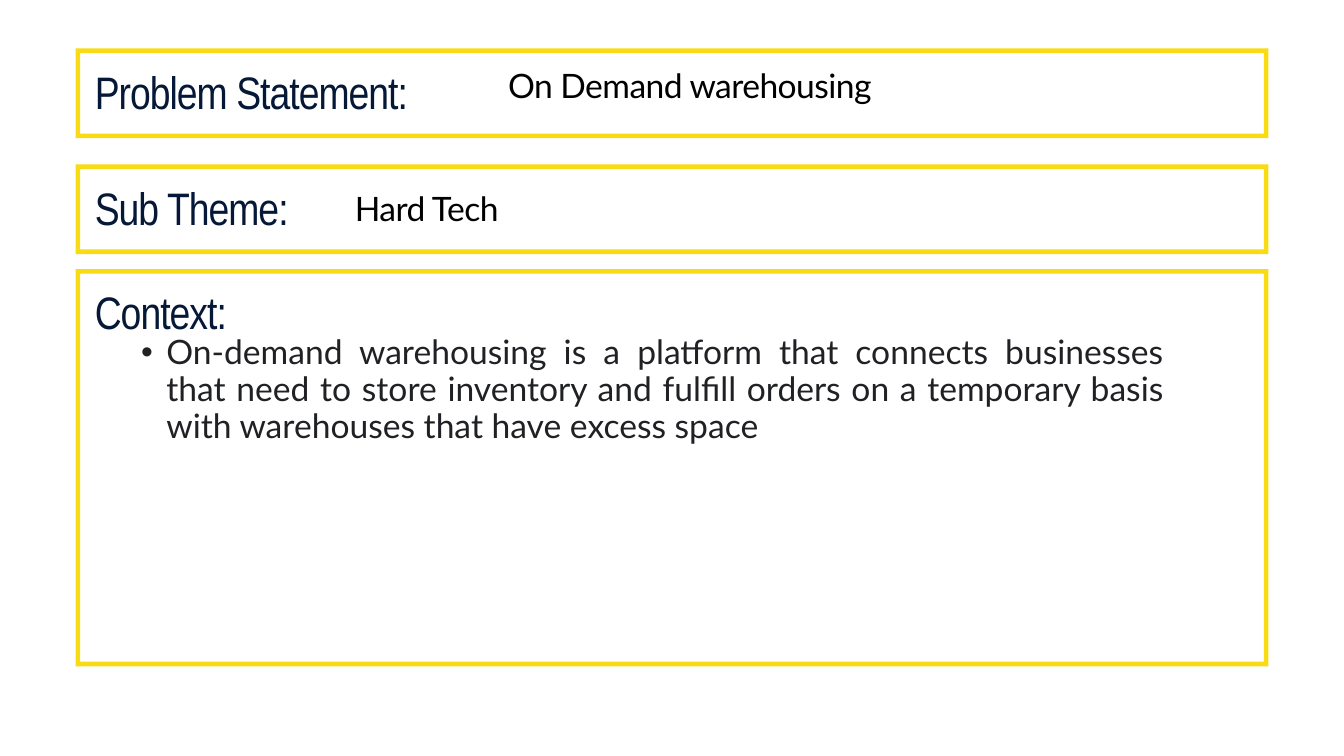
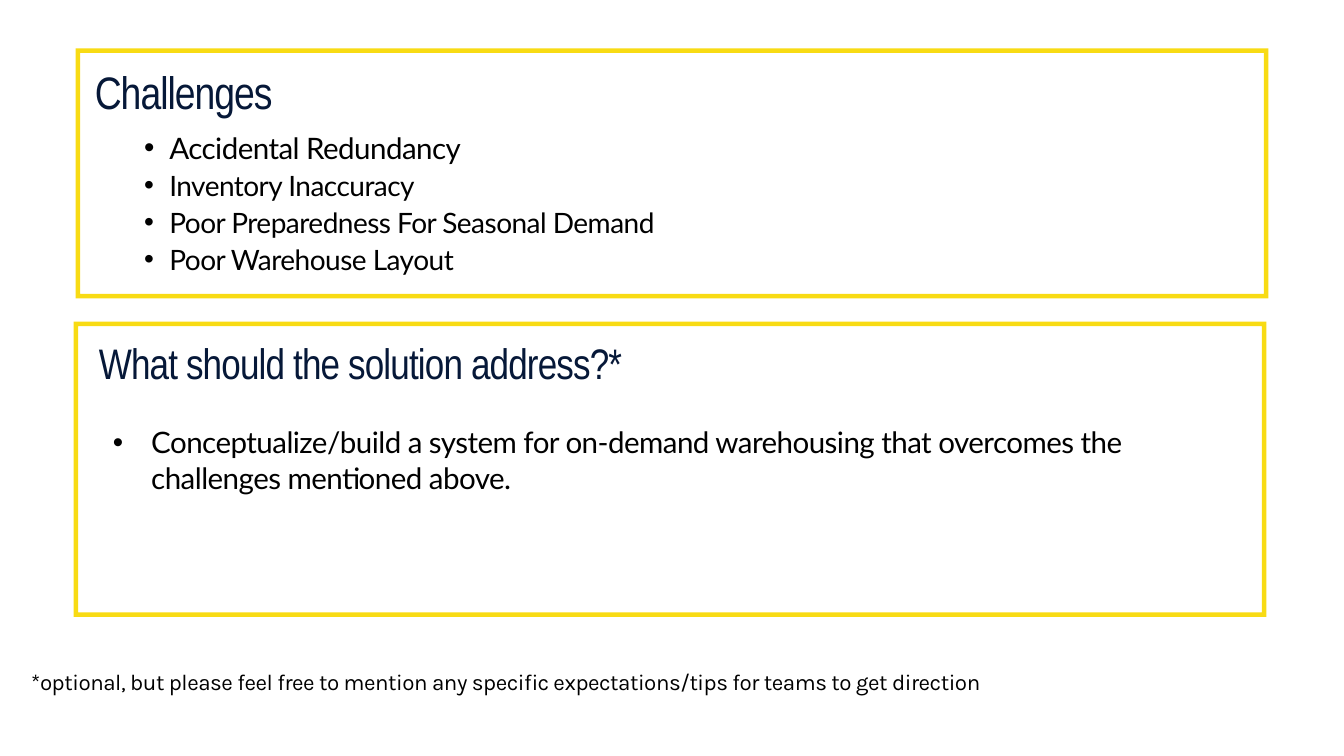
"""Build two slides of yellow-framed panels about on-demand warehousing."""
import pptx
import pptx.dml.color
import pptx.enum.shapes
import pptx.enum.text
import pptx.util
from lxml import etree
from pptx.oxml.ns import qn

Inches, Pt = pptx.util.Inches, pptx.util.Pt
ALIGN = pptx.enum.text.PP_ALIGN

COLORS = {"frame": "F8DB14", "heading": "061838", "body": "000000", "context": "202124"}
SLIDE_W, SLIDE_H = 13.33, 7.5
PANEL_LEFT, PANEL_W, BORDER = 0.75, 11.83, 0.045
HEADING_INSET, HEADING_DROP, HEADING_H = 0.19, 0.13, 0.53

HEADING = {"font": "Arial Narrow", "size": 32.5, "color": "heading", "leading": 40.6, "tracking": -0.7}
SMALL_HEADING = {**HEADING, "size": 30.5, "leading": 38.1, "tracking": -0.6}
ANSWER = {"font": "Lato", "size": 24, "color": "body", "leading": 26.4, "tracking": -0.4}
THEME = {**ANSWER, "leading": None}
CONTEXT = {**ANSWER, "color": "context", "tracking": 0, "bullet": (0.5, 0.25), "align": ALIGN.JUSTIFY}
CHALLENGE = {**ANSWER, "size": 20, "bullet": (0.5, 0.25)}
FIRST_CHALLENGE = {**CHALLENGE, "size": 21.1}
SOLUTION = {**THEME, "size": 21.1, "bullet": (0.38, 0.38)}
NOTE = {"font": "Karla", "size": 16, "color": "body", "leading": 20, "tracking": -0.3}

SLIDES = [
    {"panels": [
        {"heading": "Problem Statement:", "top": 0.48, "height": 0.89,
         "body": [("On Demand warehousing", ANSWER)], "body_box": (5.04, 0.68, 7.35, 0.36)},
        {"heading": "Sub Theme:", "top": 1.63, "height": 0.89,
         "body": [("Hard Tech", THEME)], "body_box": (3.52, 1.86, 7.72, 0.4)},
        {"heading": "Context:", "top": 2.67, "height": 3.94,
         "body": [("On-demand warehousing is a platform that connects businesses that need to store "
                   "inventory and fulfill orders on a temporary basis with warehouses that have "
                   "excess space", CONTEXT)], "body_box": (1.15, 3.32, 10.39, 1.09)},
    ]},
    {"panels": [
        {"heading": "Challenges", "top": 0.48, "height": 2.48,
         "body": [("Accidental Redundancy", FIRST_CHALLENGE),
                  ("Inventory Inaccuracy", CHALLENGE),
                  ("Poor Preparedness For Seasonal Demand", CHALLENGE),
                  ("Poor Warehouse Layout", CHALLENGE)], "body_box": (1.18, 1.27, 10.97, 1.42)},
        {"heading": "What should the solution address?*", "top": 3.19, "height": 2.93,
         "left": 0.73, "inset": 0.25, "style": SMALL_HEADING,
         "body": [("Conceptualize/build a system for on-demand warehousing that overcomes the "
                   "challenges mentioned above.", SOLUTION)], "body_box": (1.12, 4.21, 10.78, 1.07)},
    ], "note": "*optional, but please feel free to mention any specific expectations/tips "
               "for teams to get direction"},
]
NOTE_BOX = (0.31, 6.62, 10.79, 0.26)


def rgb(name):
    return pptx.dml.color.RGBColor.from_string(COLORS[name])


def write_paragraph(paragraph, text, style):
    run = paragraph.add_run()
    run.text = text
    run._r.get_or_add_rPr().set("spc", str(round(style["tracking"] * 100)))
    paragraph.alignment = style.get("align", ALIGN.LEFT)
    if style["leading"]:
        paragraph.line_spacing = Pt(style["leading"])
    font = paragraph.font
    font.name, font.size = style["font"], Pt(style["size"])
    font.color.rgb = rgb(style["color"])
    if "bullet" in style:
        indent, hang = style["bullet"]
        properties = paragraph._p.get_or_add_pPr()
        properties.set("marL", str(Inches(indent)))
        properties.set("indent", str(-Inches(hang)))
        bullet_font = etree.Element(qn("a:buFont"), typeface="Arial")
        bullet = etree.Element(qn("a:buChar"), char="•")
        default_run = properties.find(qn("a:defRPr"))
        default_run.addprevious(bullet_font)
        default_run.addprevious(bullet)


def write_text(shape, box, lines):
    shape.left, shape.top, shape.width, shape.height = map(Inches, box)
    frame = shape.text_frame
    frame.margin_left = frame.margin_top = frame.margin_right = frame.margin_bottom = 0
    frame.word_wrap = True
    frame.auto_size = pptx.enum.text.MSO_AUTO_SIZE.NONE
    frame.vertical_anchor = pptx.enum.text.MSO_ANCHOR.TOP
    for index, (text, style) in enumerate(lines):
        paragraph = frame.add_paragraph() if index else frame.paragraphs[0]
        write_paragraph(paragraph, text, style)


def add_text(slide, box, lines):
    write_text(slide.shapes.add_textbox(*map(Inches, box)), box, lines)


def add_panel(slide, panel, is_title):
    left, top, height = panel.get("left", PANEL_LEFT), panel["top"], panel["height"]
    border = slide.shapes.add_shape(pptx.enum.shapes.MSO_SHAPE.FRAME,
                                    *map(Inches, (left, top, PANEL_W, height)))
    border.adjustments[0] = BORDER / height
    border.fill.solid()
    border.fill.fore_color.rgb = rgb("frame")
    border.line.fill.background()
    border.shadow.inherit = False

    inset = panel.get("inset", HEADING_INSET)
    heading_box = (left + inset, top + HEADING_DROP, PANEL_W / 1.7, HEADING_H)
    heading_lines = [(panel["heading"], panel.get("style", HEADING))]
    if is_title:
        write_text(slide.shapes.title, heading_box, heading_lines)
    else:
        add_text(slide, heading_box, heading_lines)
    add_text(slide, panel["body_box"], panel["body"])


deck = pptx.Presentation()
deck.slide_width, deck.slide_height = Inches(SLIDE_W), Inches(SLIDE_H)
title_only = deck.slide_layouts[5]
for content in SLIDES:
    slide = deck.slides.add_slide(title_only)
    for index, panel in enumerate(content["panels"]):
        add_panel(slide, panel, is_title=index == 0)
    if "note" in content:
        add_text(slide, NOTE_BOX, [(content["note"], NOTE)])
deck.save("out.pptx")
